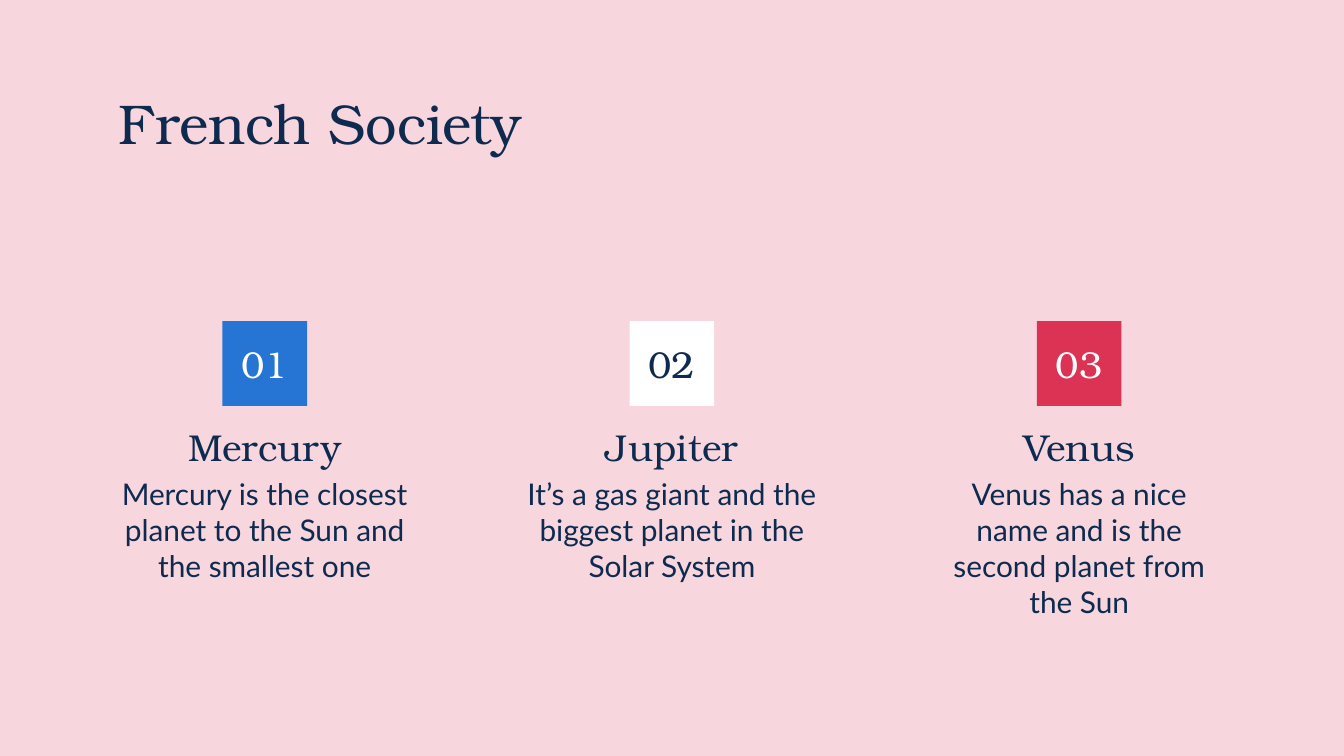
"""Build the French Society slide: a title over three numbered columns."""
from pptx import Presentation, util as u
from pptx.dml.color import RGBColor
from pptx.enum import shapes, text

COLORS = {"pink": "F7D6DD", "navy": "0E2B4F", "blue": "2674D4",
          "white": "FFFFFF", "red": "DC3354"}
SERIF, SANS = "TeX Gyre Bonum", "Lato"
TITLE = "French Society"
PLANETS = [
    ("01", "blue", "white", "Mercury",
     "Mercury is the closest planet to the Sun and the smallest one"),
    ("02", "white", "navy", "Jupiter",
     "It’s a gas giant and the biggest planet in the Solar System"),
    ("03", "red", "white", "Venus",
     "Venus has a nice name and is the second planet from the Sun"),
]
WIDTH = 10
HEIGHT = WIDTH * 9 / 16
MARGIN, COLUMN, SQUARE = 0.78, 2.38, 0.63
SQUARE_TOP, NUMBER_HEIGHT = 2.39, 0.48
CONTENT = WIDTH - 2 * MARGIN
STEP = (CONTENT - COLUMN) / (len(PLANETS) - 1)
CENTER, MIDDLE = text.PP_ALIGN.CENTER, text.MSO_ANCHOR.MIDDLE


def rgb(name):
    return RGBColor.from_string(COLORS[name])


def write(sp, words, size, font, color, align, anchor):
    tf = sp.text_frame
    tf.word_wrap = True
    tf.auto_size = text.MSO_AUTO_SIZE.NONE
    tf.vertical_anchor = anchor
    tf.margin_left = tf.margin_right = u.Inches(0.1)
    tf.margin_top = tf.margin_bottom = u.Inches(0.1)
    p = tf.paragraphs[0]
    p.text, p.alignment = words, align
    p.font.size, p.font.name = u.Pt(size), font
    p.font.color.rgb = rgb(color)


def add_label(s, box, words, size=20, font=SERIF, color="navy", anchor=MIDDLE):
    sp = s.shapes.add_textbox(*map(u.Inches, box))
    write(sp, words, size, font, color, CENTER, anchor)


def add_square(s, left, color):
    sp = s.shapes.add_shape(shapes.MSO_SHAPE.RECTANGLE,
                            *map(u.Inches, (left, SQUARE_TOP, SQUARE, SQUARE)))
    sp.shadow.inherit = False
    sp.fill.solid()
    sp.fill.fore_color.rgb = rgb(color)
    sp.line.fill.background()


def main():
    prs = Presentation()
    prs.slide_width, prs.slide_height = u.Inches(WIDTH), u.Inches(HEIGHT)
    s = prs.slides.add_slide(prs.slide_layouts.get_by_name("Title Only"))
    s.background.fill.solid()
    s.background.fill.fore_color.rgb = rgb("pink")

    title = s.shapes.title
    title.left, title.top = u.Inches(MARGIN), u.Inches(0.59)
    title.width, title.height = u.Inches(CONTENT), u.Inches(0.63)
    write(title, TITLE, 30, SERIF, "navy", text.PP_ALIGN.LEFT, MIDDLE)

    for i, (number, fill, ink, name, fact) in enumerate(PLANETS):
        left = MARGIN + i * STEP
        square_left = left + (COLUMN - SQUARE) / 2
        number_top = SQUARE_TOP + (SQUARE - NUMBER_HEIGHT) / 2
        add_square(s, square_left, fill)
        add_label(s, (square_left, number_top, SQUARE, NUMBER_HEIGHT),
                  number, color=ink)
        add_label(s, (left, 3.03, COLUMN, 0.56), name,
                  anchor=text.MSO_ANCHOR.BOTTOM)
        add_label(s, (left, 3.44, COLUMN, 1.04), fact, 16, SANS,
                  anchor=text.MSO_ANCHOR.TOP)

    prs.save("out.pptx")


if __name__ == "__main__":
    main()
